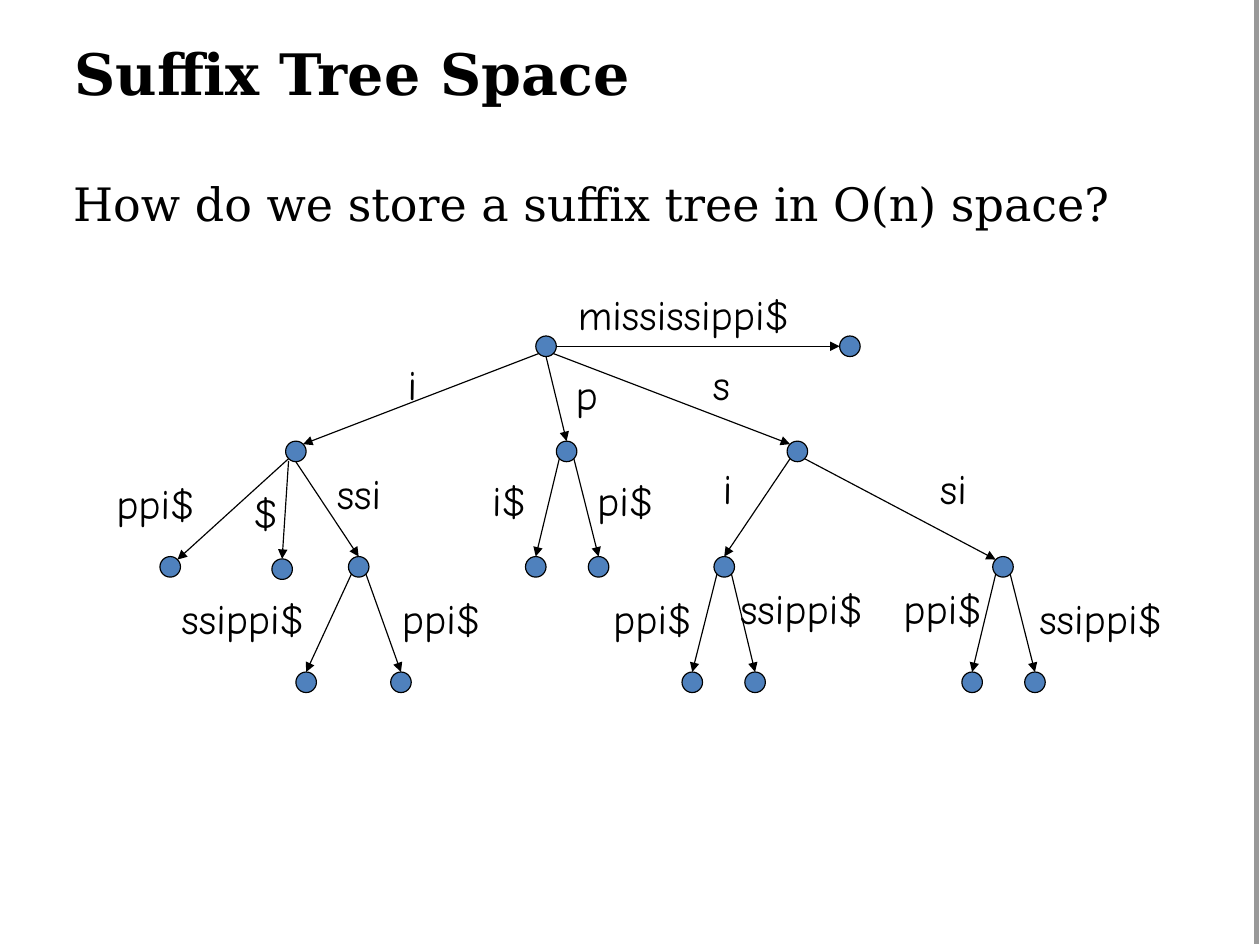
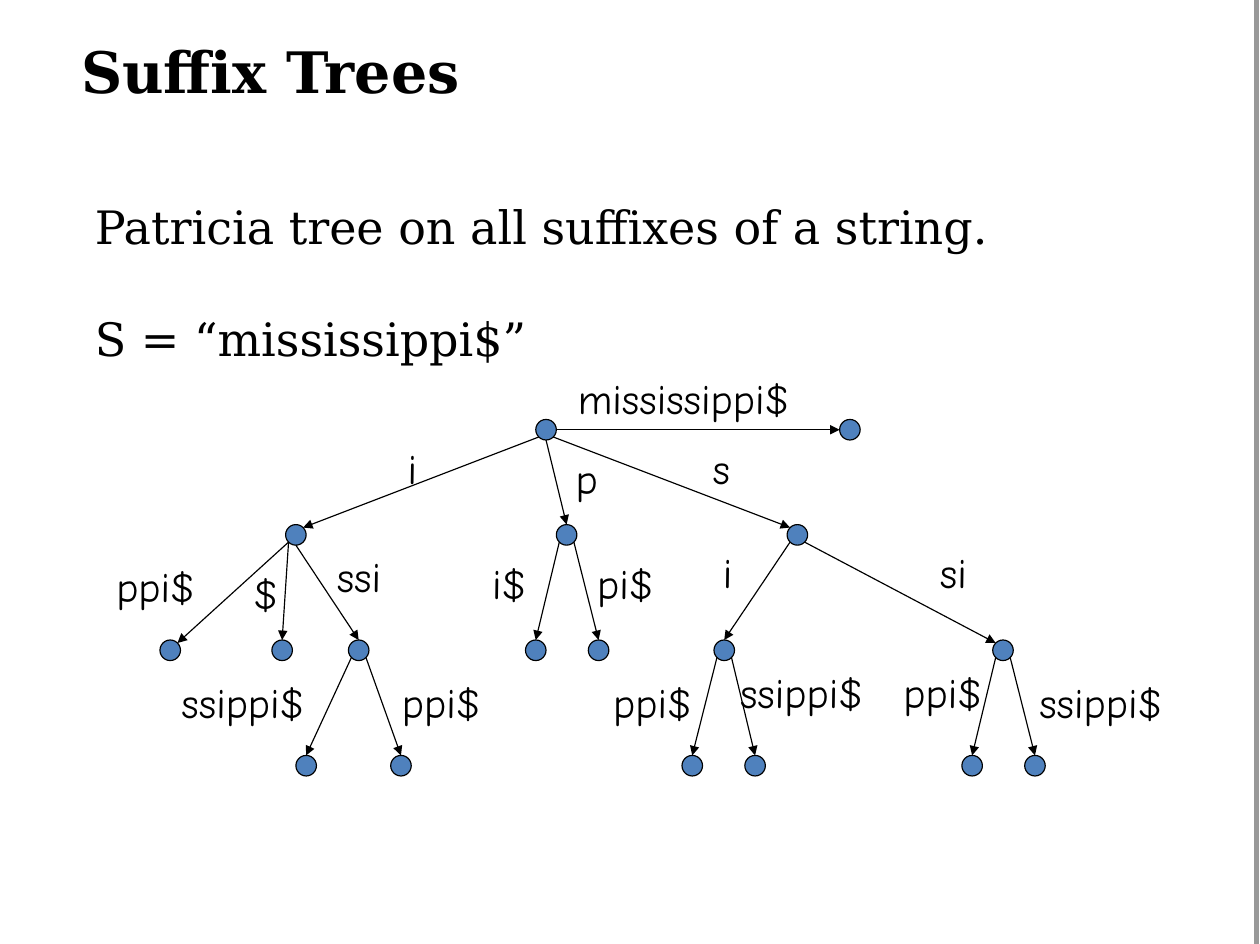
from math import cos, radians, sin

from pptx import Presentation
from pptx.dml.color import RGBColor
from pptx.enum.shapes import MSO_CONNECTOR as Link, MSO_SHAPE as Shape
from pptx.enum.text import MSO_ANCHOR as Anchor
from pptx.oxml.ns import qn
from pptx.oxml.xmlchemy import OxmlElement as Node
from pptx.util import Emu, Pt

BLACK = RGBColor(0x00, 0x00, 0x00)
BLUE = RGBColor(0x4F, 0x81, 0xBD)
GREY = RGBColor(0x99, 0x99, 0x99)
SERIF, HAND = "DejaVu Serif", "Comic Neue"

SCALE = 9144  # EMU in one px, 100 px to the inch
WIDTH, HEIGHT = 1103, 826
RADIUS = 9

# Angles of the points on a node where edges meet it, clockwise from the right
SITES = {"E": 0, "SE": 45, "S": 90, "SW": 135, "W": 180, "NW": 225, "N": 270, "NE": 315}
LETTERS = {"m": 26, "i": 11, "s": 18, "p": 20, "$": 26}
ROOT = 478
ROWS = (303, 395, 496, 597)

# A node is named by the text spelled from the root down to it:
# parent, edge text, x, row, start site, end site, place of the edge text
BRANCHES = (
    ("", "mississippi$", 744, 0, "E", "W", 496, 248),
    ("", "i", 259, 1, "SW", "NE", 347, 309),
    ("", "p", 496, 1, "S", "N", 494, 318),
    ("", "s", 698, 1, "SE", "NW", 614, 309),
    ("i", "ppi$", 149, 2, "SW", "NE", 92, 413),
    ("i", "$", 247, 2, "SW", "N", 212, 419),
    ("i", "ssi", 314, 2, "S", "N", 285, 404),
    ("p", "i$", 469, 2, "SW", "N", 421, 410),
    ("p", "pi$", 524, 2, "SE", "N", 513, 410),
    ("s", "i", 634, 2, "SW", "N", 623, 400),
    ("s", "si", 878, 2, "SE", "NW", 813, 400),
    ("issi", "ssippi$", 268, 3, "SW", "N", 149, 514),
    ("issi", "ppi$", 351, 3, "SE", "N", 342, 514),
    ("si", "ppi$", 606, 3, "SW", "N", 527, 514),
    ("si", "ssippi$", 661, 3, "SE", "N", 638, 505),
    ("ssi", "ppi$", 851, 3, "SW", "N", 781, 505),
    ("ssi", "ssippi$", 906, 3, "SE", "N", 900, 514),
)


def px(*sizes):
    return [Emu(round(size * SCALE)) for size in sizes]


def site(spot, name):
    """Return the point on the rim of the node centred at spot."""
    angle = radians(SITES[name])
    return spot[0] + RADIUS * cos(angle), spot[1] + RADIUS * sin(angle)


class Deck:
    def __init__(self):
        self.prs = Presentation()
        self.prs.slide_width, self.prs.slide_height = px(WIDTH, HEIGHT)

    def page(self):
        self.slide = self.prs.slides.add_slide(self.prs.slide_layouts[6])
        self.line((1100, 0), (1100, HEIGHT), GREY, 2.89)

    def line(self, start, end, color=BLACK, width=0.75, arrow=False):
        edge = self.slide.shapes.add_connector(Link.STRAIGHT, *px(*start, *end))
        edge.line.color.rgb = color
        edge.line.width = Pt(width)
        props = edge.element.spPr
        if arrow:
            tip = Node("a:tailEnd")
            tip.set("type", "triangle")
            props.find(qn("a:ln")).append(tip)
        props.append(Node("a:effectLst"))

    def dot(self, x, y):
        size = 2 * RADIUS
        dot = self.slide.shapes.add_shape(
            Shape.OVAL, *px(x - RADIUS, y - RADIUS, size, size))
        dot.shadow.inherit = False
        dot.fill.solid()
        dot.fill.fore_color.rgb = BLUE
        dot.line.color.rgb = BLACK
        dot.line.width = Pt(0.75)

    def add_text(self, para, text, font, size, bold=False):
        run = para.add_run()
        run.text = text
        run.font.name = font
        run.font.size = Pt(size)
        run.font.bold = bold
        run.font.color.rgb = BLACK

    def block(self, box, lines, size, bold=False):
        frame = self.slide.shapes.add_textbox(*px(*box)).text_frame
        frame.word_wrap = True
        frame.vertical_anchor = Anchor.MIDDLE
        frame.margin_left = frame.margin_right = 0
        frame.margin_top = frame.margin_bottom = 0
        for index, text in enumerate(lines):
            para = frame.add_paragraph() if index else frame.paragraphs[0]
            if index:
                para.space_before = Pt(35.5)
            self.add_text(para, text, SERIF, size, bold)

    def title(self, x, y, text):
        self.block((x, y, 971, 61), [text], 36, True)

    def body(self, box, *lines):
        self.block(box, lines, 29)

    def label(self, x, y, text):
        width = 20 + sum(LETTERS[letter] for letter in text)
        frame = self.slide.shapes.add_textbox(*px(x, y, width, 55)).text_frame
        frame.word_wrap = False
        self.add_text(frame.paragraphs[0], text, HAND, 26.4)

    def tree(self, shift=0, drop=0):
        """Draw the tree moved down by shift, its short "$" branch by drop more."""
        spots = {"": (ROOT, ROWS[0] + shift)}
        self.dot(*spots[""])
        for parent, text, x, row, start, end, left, top in BRANCHES:
            extra = drop if text == "$" else 0
            spot = spots[parent + text] = x, ROWS[row] + shift + extra
            self.dot(*spot)
            out_x, out_y = site(spots[parent], start)
            self.line((out_x, out_y + extra), site(spot, end), arrow=True)
            self.label(left, top + shift + extra, text)


def main():
    deck = Deck()

    deck.page()
    deck.title(65, 33, "Suffix Tree Space")
    deck.body((64, 153, 984, 49), "How do we store a suffix tree in O(n) space?")
    deck.tree(drop=2)

    deck.page()
    deck.title(71, 31, "Suffix Trees")
    deck.body((83, 174, 937, 146),
              "Patricia tree on all suffixes of a string.",
              "S = “mississippi$”")
    deck.tree(shift=73)

    deck.prs.save("out.pptx")


if __name__ == "__main__":
    main()
